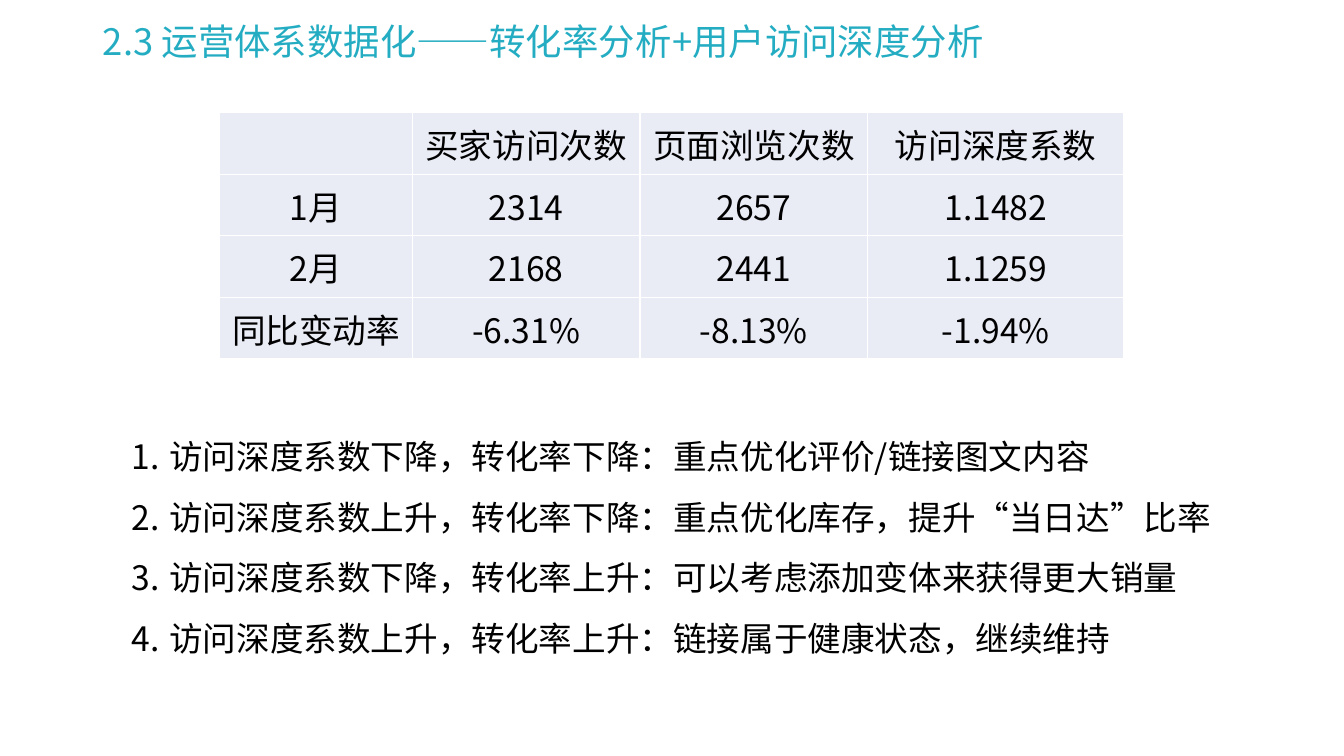
from lxml.etree import SubElement
from pptx import Presentation
from pptx.dml.color import RGBColor
from pptx.enum.text import MSO_ANCHOR, MSO_AUTO_SIZE, PP_ALIGN
from pptx.oxml.ns import qn
from pptx.util import Cm, Pt

FONT = "Noto Sans CJK SC"
TEAL, BLACK, WHITE, PALE = "24ADC2", "000000", "FFFFFF", "E9EBF5"
TITLE = "2.3 运营体系数据化——转化率分析+用户访问深度分析"
VISITS = [
    ["", "买家访问次数", "页面浏览次数", "访问深度系数"],
    ["1月", "2314", "2657", "1.1482"],
    ["2月", "2168", "2441", "1.1259"],
    ["同比变动率", "-6.31%", "-8.13%", "-1.94%"],
]
COLUMN_SHARES = [1.91, 2.26, 2.26, 2.54]
ADVICE = [
    "访问深度系数下降，转化率下降：重点优化评价/链接图文内容",
    "访问深度系数上升，转化率下降：重点优化库存，提升“当日达”比率",
    "访问深度系数下降，转化率上升：可以考虑添加变体来获得更大销量",
    "访问深度系数上升，转化率上升：链接属于健康状态，继续维持",
]


def colour(hex_code):
    """Turn a hex string into a colour."""
    return RGBColor.from_string(hex_code)


def format_runs(paragraph, size, hex_code):
    """Give every run of a paragraph its size, colour and typeface."""
    for run in paragraph.runs:
        run.font.size = Pt(size)
        run.font.bold = False
        run.font.color.rgb = colour(hex_code)
        run.font.name = FONT
        SubElement(run.font._element, qn("a:ea"), typeface=FONT)


def number_paragraph(paragraph, indent):
    """Make a paragraph an item of a numbered list with a hanging indent."""
    properties = paragraph._p.get_or_add_pPr()
    properties.set("marL", str(indent))
    properties.set("indent", str(-indent))
    SubElement(properties, qn("a:buFont"), typeface="+mj-lt")
    SubElement(properties, qn("a:buAutoNum"), type="arabicPeriod")


def border_cell(cell, width, hex_code):
    """Draw a solid line on all four sides of a cell."""
    properties = cell._tc.get_or_add_tcPr()
    for side in ("a:lnL", "a:lnR", "a:lnT", "a:lnB"):
        line = SubElement(properties, qn(side), w=str(Pt(width)))
        fill = SubElement(line, qn("a:solidFill"))
        SubElement(fill, qn("a:srgbClr"), val=hex_code)


def place_title(slide, left, top, width, height):
    """Put the heading in the title placeholder."""
    heading = slide.shapes.title
    heading.left, heading.top, heading.width, heading.height = left, top, width, height
    frame = heading.text_frame
    frame.text = TITLE
    frame.auto_size = MSO_AUTO_SIZE.NONE
    frame.vertical_anchor = MSO_ANCHOR.MIDDLE
    paragraph = frame.paragraphs[0]
    paragraph.alignment = PP_ALIGN.LEFT
    paragraph.line_spacing = 0.9
    format_runs(paragraph, 26, TEAL)


def place_visits(slide, left, top, width, height):
    """Build the table of visits, page views and depth."""
    visits = slide.shapes.add_table(
        len(VISITS), len(COLUMN_SHARES), left, top, width, height
    ).table
    visits.first_row = visits.horz_banding = False
    for column, share in zip(visits.columns, COLUMN_SHARES):
        column.width = int(width * share / sum(COLUMN_SHARES))
    for row, values in enumerate(VISITS):
        for column, value in enumerate(values):
            cell = visits.cell(row, column)
            border_cell(cell, 1, WHITE)
            cell.fill.solid()
            cell.fill.fore_color.rgb = colour(PALE)
            cell.margin_left = cell.margin_right = cell.margin_top = Cm(0.03)
            cell.margin_bottom = 0
            cell.vertical_anchor = MSO_ANCHOR.MIDDLE
            if value:
                cell.text_frame.text = value
                paragraph = cell.text_frame.paragraphs[0]
                paragraph.alignment = PP_ALIGN.CENTER
                format_runs(paragraph, 24, BLACK)


def place_advice(slide, left, top, width, height):
    """List what to do for each pairing of depth and conversion."""
    frame = slide.shapes.add_textbox(left, top, width, height).text_frame
    frame.word_wrap = True
    frame.auto_size = MSO_AUTO_SIZE.SHAPE_TO_FIT_TEXT
    frame.text = "\n".join(ADVICE)
    for paragraph in frame.paragraphs:
        number_paragraph(paragraph, Cm(0.95))
        paragraph.line_spacing = 1.5
        format_runs(paragraph, 24, BLACK)


def main():
    """Build the slide and save it."""
    deck = Presentation()
    deck.slide_width, deck.slide_height = Cm(33.87), Cm(19.05)
    slide = deck.slides.add_slide(deck.slide_layouts[5])
    place_title(slide, Cm(2.34), Cm(0.66), Cm(29.21), Cm(0.89))
    place_visits(slide, Cm(5.54), Cm(2.84), Cm(22.78), Cm(6.2))
    place_advice(slide, Cm(3.07), Cm(10.36), Cm(27.71), Cm(6.22))
    deck.save("out.pptx")


if __name__ == "__main__":
    main()
